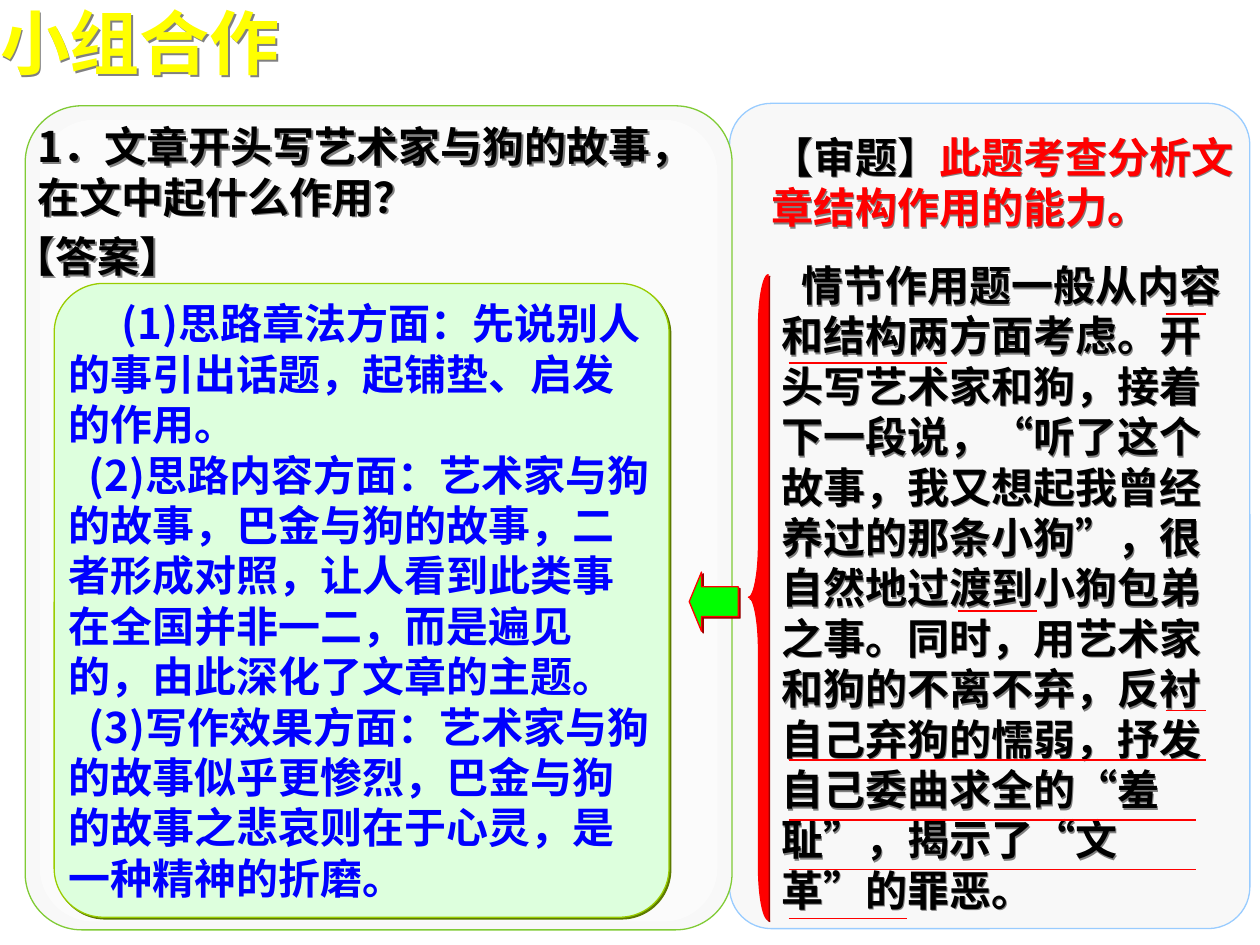
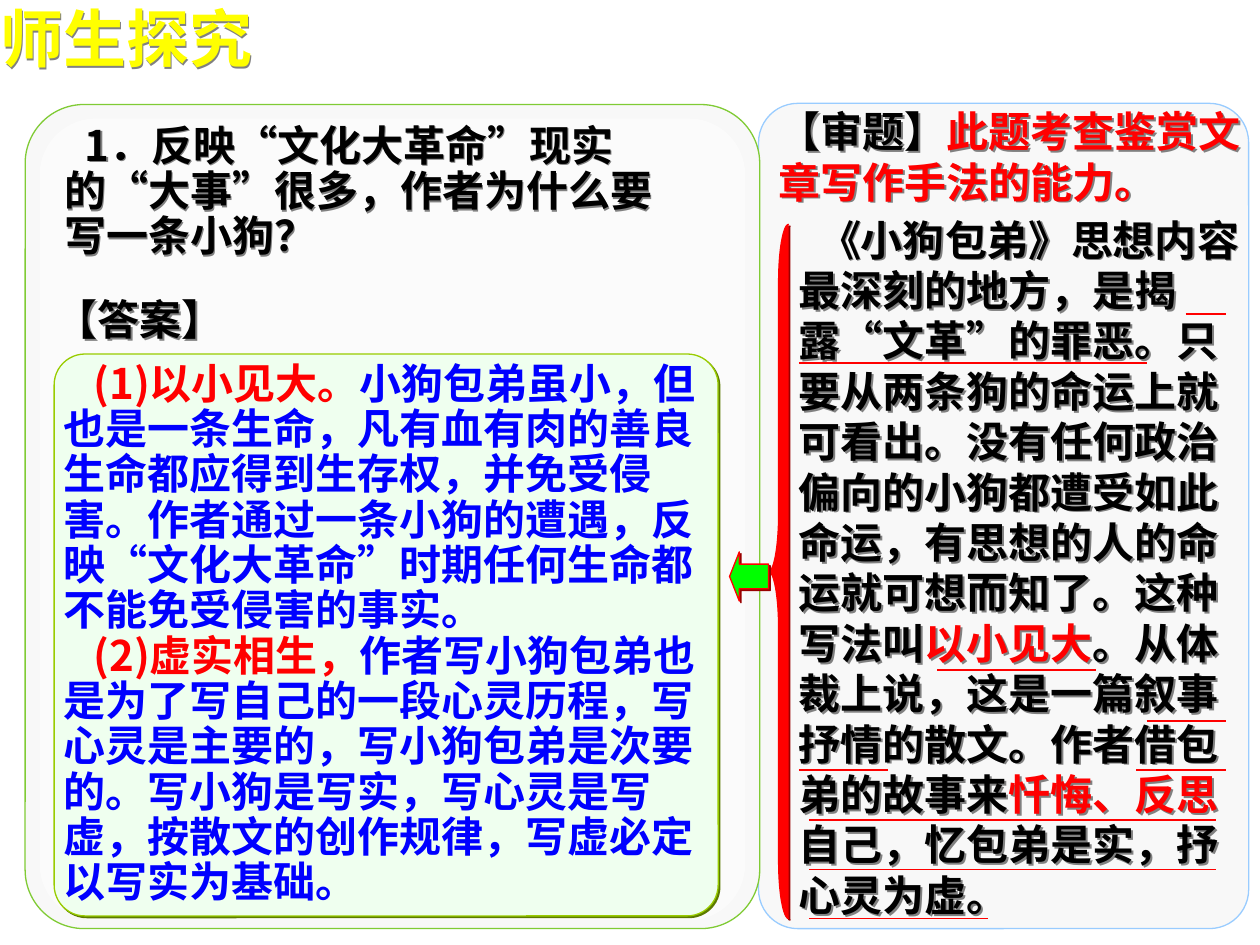
from lxml import etree
from pptx import Presentation
from pptx.dml.color import RGBColor
from pptx.enum.lang import MSO_LANGUAGE_ID
from pptx.enum.shapes import MSO_CONNECTOR, MSO_SHAPE
from pptx.enum.text import MSO_ANCHOR
from pptx.oxml.ns import qn
from pptx.util import Inches, Pt

ROUNDED = MSO_SHAPE.ROUNDED_RECTANGLE
BRACE = MSO_SHAPE.LEFT_BRACE
ARROW = MSO_SHAPE.LEFT_ARROW
STRAIGHT = MSO_CONNECTOR.STRAIGHT
TOP, MIDDLE = MSO_ANCHOR.TOP, MSO_ANCHOR.MIDDLE
CHINESE = MSO_LANGUAGE_ID.SIMPLIFIED_CHINESE

# Grid of 100 columns by 75 rows: every place below is counted in its cells
WIDTH, HEIGHT = Inches(10), Inches(7.5)
COLUMN, ROW = WIDTH / 100, HEIGHT / 75

COLOURS = {
    "title": "FFFF00", "text": "000000", "answer": "0000FF", "accent": "FF0000",
    "panel": "F8F8F8", "sheen": "FFFFFF", "question_edge": "80CB35",
    "analysis_edge": "99CCFF", "card_edge": "99CC00", "card_shadow": "5C7A00",
    "green_card": "DDFFDD", "pale_card": "EFFFEF",
    "arrow": "00FF00", "accent_shadow": "990000", "text_shadow": "808080",
}
CJK_FONT = "Noto Sans CJK SC"
TITLE_FONT = "Arial"
BODY_SIZE = 24
PANEL_ROUNDING = 0.08


def rgb(name):
    return RGBColor.from_string(COLOURS[name])


def place(left, top, width, height):
    return [int(left * COLUMN), int(top * ROW), int(width * COLUMN), int(height * ROW)]


def add_shadow(shape, colour):
    """Cast a hard shadow to the lower right."""
    shape.shadow.inherit = False
    effects = shape._element.spPr.find(qn("a:effectLst"))
    shadow = etree.SubElement(effects, qn("a:outerShdw"), dist=str(Pt(1.4)),
                              dir="2700000", algn="ctr", rotWithShape="0")
    etree.SubElement(shadow, qn("a:srgbClr"), val=COLOURS[colour])


# Shapes
def add_box(shapes, kind, area, fill, line=None, shadow=None, adjustments=()):
    shape = shapes.add_shape(kind, *place(*area))
    shape.shadow.inherit = False
    for index, value in enumerate(adjustments):
        shape.adjustments[index] = value
    shape.fill.solid()
    shape.fill.fore_color.rgb = rgb(fill)
    if line:
        shape.line.color.rgb = rgb(line)
        shape.line.width = Pt(0.75)
    else:
        shape.line.fill.background()
    if shadow:
        add_shadow(shape, shadow)
    return shape


def add_panels(slide, analysis_area, question_area):
    add_box(slide.shapes, ROUNDED, analysis_area, "panel", "analysis_edge",
            adjustments=[PANEL_ROUNDING])
    group = slide.shapes.add_group_shape()
    add_box(group.shapes, ROUNDED, question_area, "panel", "question_edge",
            adjustments=[PANEL_ROUNDING])
    left, top, width, height = question_area
    sheen_area = (left + 1.15, top + 1.1, width - 2.3, height - 1.75)
    sheen = add_box(group.shapes, ROUNDED, sheen_area, "sheen",
                    adjustments=[PANEL_ROUNDING])
    colour = sheen._element.spPr.find(qn("a:solidFill"))[0]
    etree.SubElement(colour, qn("a:alpha"), val="50000")


def add_brace(slide, area):
    width, height = area[2:]
    add_box(slide.shapes, BRACE, area, "accent", "accent", "accent_shadow",
            [height / width / 12, 0.5])


def add_arrow(slide, area):
    add_box(slide.shapes, ARROW, area, "arrow", "accent", "accent_shadow", [0.5, 0.25])


def add_underlines(slide, underlines):
    for row, start, end in underlines:
        left, top, right, _ = place(start, row, end, 0)
        line = slide.shapes.add_connector(STRAIGHT, left, top, right, top)
        line.line.color.rgb = rgb("accent")
        line.line.width = Pt(1)
        etree.SubElement(line._element.spPr, qn("a:effectLst"))


# Text
def write_run(paragraph, text, colour, size, font_name):
    run = paragraph.add_run()
    run.text = text
    values = {"size": Pt(size), "bold": True, "name": font_name, "language_id": CHINESE}
    for name, value in values.items():
        setattr(run.font, name, value)
    run.font.color.rgb = rgb(colour)
    latin = run._r.get_or_add_rPr().find(qn("a:latin"))
    latin.addnext(etree.Element(qn("a:ea"), typeface=CJK_FONT))


def write_text(shape, paragraphs, anchor=TOP, spacing=1.0, size=BODY_SIZE,
               font_name=CJK_FONT):
    """Each paragraph is a first-line indent in columns and a list of (text, colour)."""
    frame = shape.text_frame
    values = {"word_wrap": True, "vertical_anchor": anchor, "margin_left": 0,
              "margin_top": 0, "margin_right": 0, "margin_bottom": 0}
    for name, value in values.items():
        setattr(frame, name, value)
    for index, (indent, runs) in enumerate(paragraphs):
        paragraph = frame.add_paragraph() if index else frame.paragraphs[0]
        paragraph.line_spacing = spacing
        properties = paragraph._p.get_or_add_pPr()
        layout = {"marL": 0, "indent": int(indent * COLUMN), "algn": "l",
                  "hangingPunct": 0}
        for name, value in layout.items():
            properties.set(name, str(value))
        for text, colour in runs:
            write_run(paragraph, text, colour, size, font_name)


def add_text(slide, area, paragraphs, **style):
    box = slide.shapes.add_textbox(*place(*area))
    add_shadow(box, "text_shadow")
    write_text(box, paragraphs, **style)


def add_title(slide, text, size):
    add_text(slide, (0, 0, 33.5, size / 6), [(0, [(text, "title")])],
             size=size, font_name=TITLE_FONT)


def add_answer_label(slide, left, top):
    add_text(slide, (left, top, 18, 4), [(0, [("【答案】", "text")])])


def add_answer_card(slide, area, fill, rounding, paragraphs, spacing=1.0):
    card = add_box(slide.shapes, ROUNDED, area, fill, "card_edge", "card_shadow",
                   [rounding])
    write_text(card, paragraphs, anchor=MIDDLE, spacing=spacing)


def add_topic(slide, area, text):
    add_text(slide, area, [(0, [("【审题】", "text"), (text, "accent")])])


# Slides
def build_group_work(slide):
    add_panels(slide, (57.9, 8.2, 41.3, 65.5), (2, 8.4, 56.1, 65.4))
    add_title(slide, "小组合作", 40)
    question = "1．文章开头写艺术家与狗的故事，在文中起什么作用？"
    add_text(slide, (3, 9.6, 53.1, 8), [(0, [(question, "text")])], anchor=MIDDLE)
    add_answer_card(slide, (4.3, 22.5, 48.8, 50.3), "green_card", 0.08, [
        (4.2, [("(1)思路章法方面：先说别人的事引出话题，起铺垫、启发的作用。", "answer")]),
        (1.6, [("(2)思路内容方面：艺术家与狗的故事，巴金与狗的故事，二者形成对照，"
                "让人看到此类事在全国并非一二，而是遍见的，由此深化了文章的主题。", "answer")]),
        (1.6, [("(3)写作效果方面：艺术家与狗的故事似乎更惨烈，"
                "巴金与狗的故事之悲哀则在于心灵，是一种精神的折磨。", "answer")]),
    ])
    analysis = ("情节作用题一般从内容和结构两方面考虑。开头写艺术家和狗，接着下一段说，"
                "“听了这个故事，我又想起我曾经养过的那条小狗”，很自然地过渡到小狗包弟之事。"
                "同时，用艺术家和狗的不离不弃，反衬自己弃狗的懦弱，"
                "抒发自己委曲求全的“羞耻”，揭示了“文革”的罪恶。")
    add_text(slide, (62, 20.6, 35, 52), [(1.6, [(analysis, "text")])], anchor=MIDDLE)
    add_topic(slide, (61.2, 10.4, 37.8, 8), "此题考查分析文章结构作用的能力。")
    add_answer_label(slide, 1.1, 18.3)
    add_brace(slide, (59.4, 21.8, 1.6, 51.2))
    add_arrow(slide, (54.7, 45.4, 3.9, 4.7))
    add_underlines(slide, [
        (24.9, 92.5, 95.7), (28.8, 62.6, 75.2), (48.5, 76, 82.3), (56.4, 92.5, 95.7),
        (60.3, 62.6, 95.7), (65.1, 62.6, 94.9), (69, 62.6, 94.9), (72.9, 62.6, 72),
    ])


def build_class_inquiry(slide):
    add_panels(slide, (60.2, 8.2, 38.9, 65.5), (2, 8.3, 58.3, 65.4))
    add_title(slide, "师生探究", 36)
    question = "1．反映“文化大革命”现实的“大事”很多，作者为什么要写一条小狗？"
    add_text(slide, (5.1, 9.9, 49.6, 10.8), [(1.6, [(question, "text")])],
             anchor=MIDDLE, spacing=0.9)
    add_answer_card(slide, (4.3, 28.1, 52.7, 44.6), "pale_card", 0.055, [
        (2.4, [("(1)以小见大。", "accent"),
               ("小狗包弟虽小，但也是一条生命，凡有血有肉的善良生命都应得到生存权，"
                "并免受侵害。作者通过一条小狗的遭遇，"
                "反映“文化大革命”时期任何生命都不能免受侵害的事实。", "answer")]),
        (2.4, [("(2)虚实相生，", "accent"),
               ("作者写小狗包弟也是为了写自己的一段心灵历程，写心灵是主要的，"
                "写小狗包弟是次要的。写小狗是写实，写心灵是写虚，"
                "按散文的创作规律，写虚必定以写实为基础。", "answer")]),
    ], spacing=0.9)
    add_text(slide, (63.4, 17, 35.5, 56), [(1.6, [
        ("《小狗包弟》思想内容最深刻的地方，是揭露“文革”的罪恶。"
         "只要从两条狗的命运上就可看出。没有任何政治偏向的小狗都遭受如此命运，"
         "有思想的人的命运就可想而知了。这种写法叫", "text"),
        ("以小见大", "accent"),
        ("。从体裁上说，这是一篇叙事抒情的散文。作者借包弟的故事来", "text"),
        ("忏悔、反思", "accent"),
        ("自己，忆包弟是实，抒心灵为虚。", "text"),
    ])], anchor=MIDDLE)
    add_topic(slide, (61.8, 8.4, 37, 8), "此题考查鉴赏文章写作手法的能力。")
    add_underlines(slide, [
        (24.9, 94.1, 97.3), (28.8, 63.4, 91), (53.2, 74.4, 87), (57.2, 91, 97.3),
        (61.1, 63.4, 70.5), (61.1, 90.2, 97.3), (65.1, 64.2, 96.5), (69, 64.2, 96.5),
        (72.9, 64.2, 78.4),
    ])
    add_brace(slide, (61, 17.8, 1.6, 55.1))
    add_arrow(slide, (57.9, 43.8, 3.1, 3.9))
    add_answer_label(slide, 4.4, 23.3)


def main():
    presentation = Presentation()
    presentation.slide_width, presentation.slide_height = WIDTH, HEIGHT
    blank = presentation.slide_layouts[6]
    for build in (build_group_work, build_class_inquiry):
        build(presentation.slides.add_slide(blank))
    presentation.save("out.pptx")


if __name__ == "__main__":
    main()
